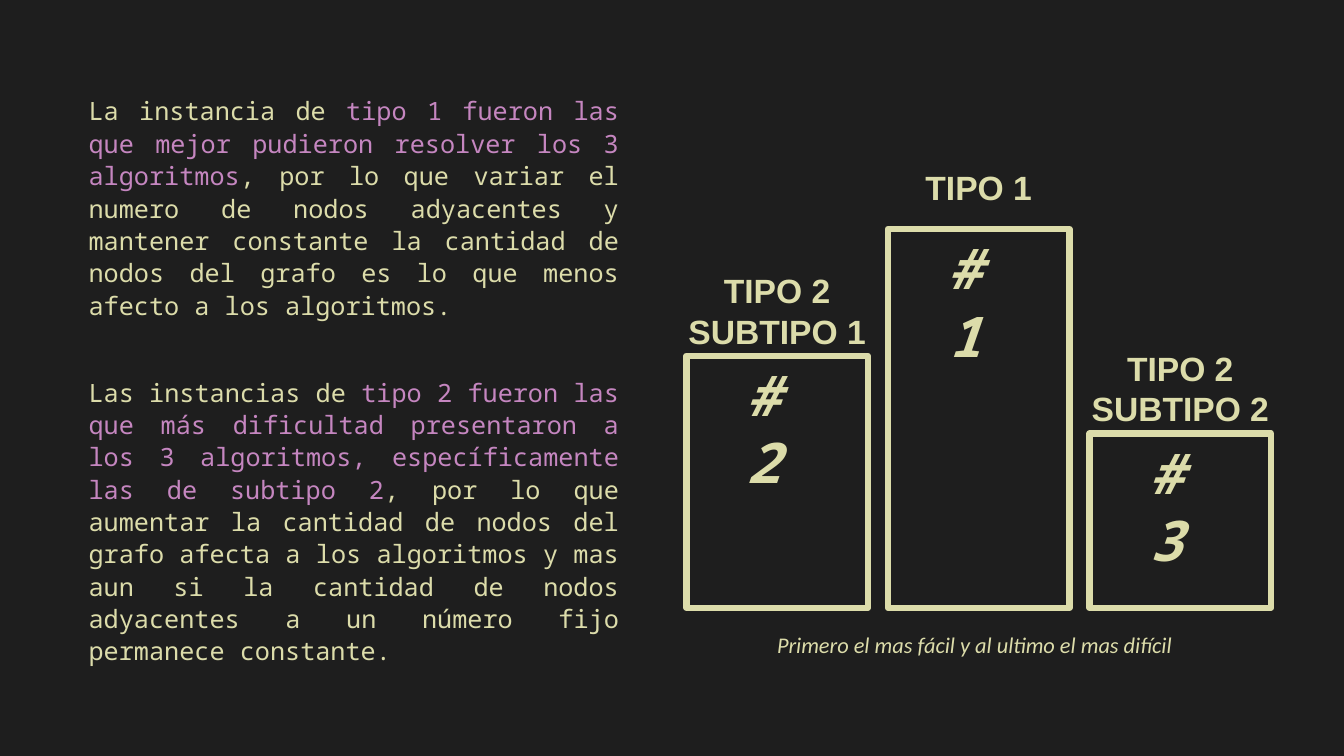
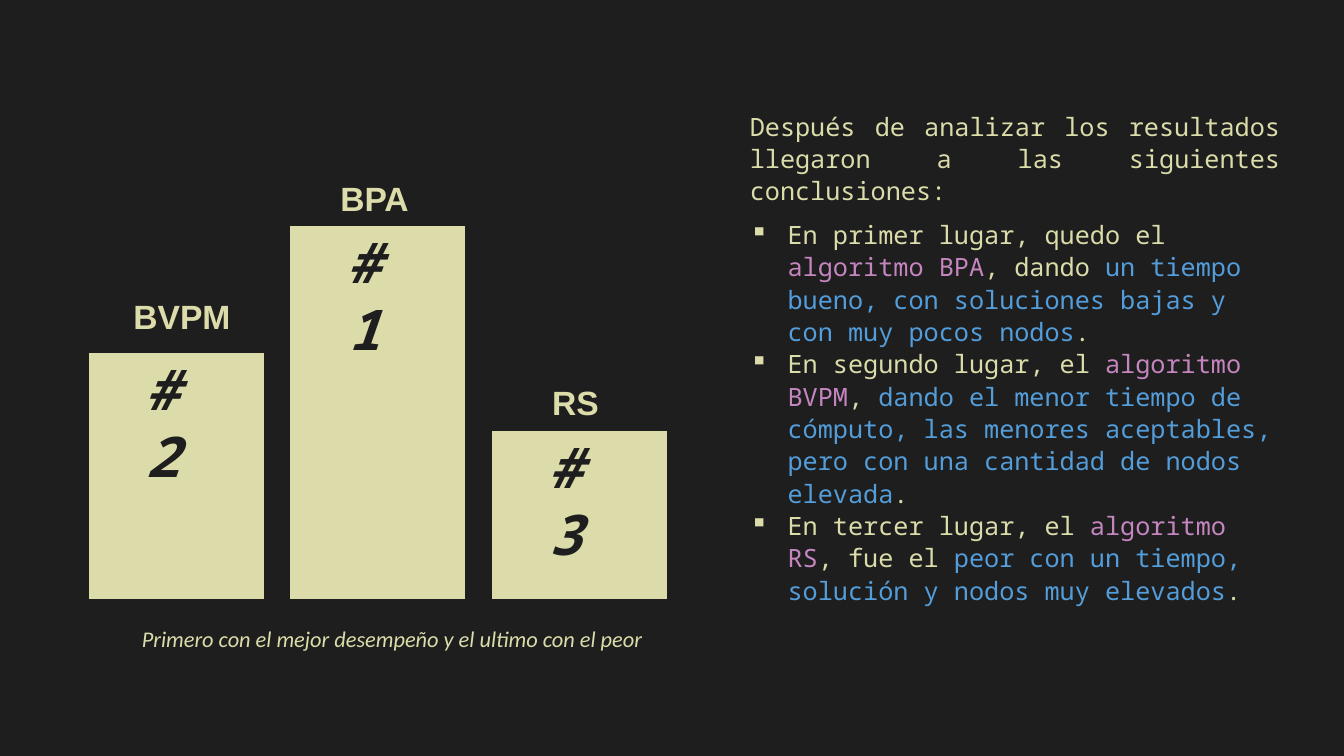
from lxml import etree
from pptx import Presentation
from pptx.dml.color import RGBColor
from pptx.enum.shapes import MSO_SHAPE
from pptx.enum.text import MSO_ANCHOR, PP_ALIGN
from pptx.oxml.ns import qn
from pptx.util import Pt

DARK, CREAM, PINK, BLUE = "1E1E1E", "DCDCAA", "C586C0", "539DDA"
MONO, SANS, CAPTION = "Noto Sans Mono", "Arial", "Calibri"
BAR_W, PITCH, RANK_W, LINE_W = 129.6, 144, 59, 4.5
BAR_HEIGHTS = {"#2": 180, "#1": 270.7, "#3": 124.6}
BODY = dict(size=18, font=MONO, spacing=1.07, after=8)

SLIDES = [
    dict(
        text_box=(56.2, 63.4, 393, 396),
        paragraphs=[
            dict(align=PP_ALIGN.JUSTIFY, after=39, runs=[
                ("La instancia de ", CREAM),
                ("tipo 1 fueron las que mejor pudieron resolver los 3 algoritmos", PINK),
                (", por lo que variar el numero de nodos adyacentes y mantener constante "
                 "la cantidad de nodos del grafo es lo que menos afecto a los algoritmos.", CREAM)]),
            dict(align=PP_ALIGN.JUSTIFY, runs=[
                ("Las instancias de ", CREAM),
                ("tipo 2 fueron las que más dificultad presentaron a los 3 algoritmos, "
                 "específicamente las de subtipo 2", PINK),
                (", por lo que aumentar la cantidad de nodos del grafo afecta a los algoritmos "
                 "y mas aun si la cantidad de nodos adyacentes a un número fijo permanece "
                 "constante.", CREAM)]),
        ],
        left=490.3, base=434.2, fill=None, line=CREAM, rank_color=CREAM,
        bars=[("#2", ["TIPO 2", "SUBTIPO 1"], 0, 0),
              ("#1", ["TIPO 1"], 0, 12),
              ("#3", ["TIPO 2", "SUBTIPO 2"], 0, 0)],
        caption="Primero el mas fácil y al ultimo el mas difícil", caption_left=548,
    ),
    dict(
        text_box=(528.5, 74.2, 393, 364),
        paragraphs=[
            dict(align=PP_ALIGN.JUSTIFY, runs=[
                ("Después de analizar los resultados llegaron a las siguientes conclusiones:",
                 CREAM)]),
            dict(bullet="▪", after=0, runs=[
                ("En primer lugar, quedo el ", CREAM), ("algoritmo BPA", PINK),
                (", dando ", CREAM),
                ("un tiempo bueno, con soluciones bajas y con muy pocos nodos", BLUE),
                (".", CREAM)]),
            dict(bullet="▪", after=0, runs=[
                ("En segundo lugar, el ", CREAM), ("algoritmo BVPM", PINK), (", ", CREAM),
                ("dando el menor tiempo de cómputo, las menores aceptables, pero con una "
                 "cantidad de nodos elevada", BLUE),
                (".", CREAM)]),
            dict(bullet="▪", runs=[
                ("En tercer lugar, el ", CREAM), ("algoritmo RS", PINK), (", fue el ", CREAM),
                ("peor con un tiempo, solución y nodos muy elevados", BLUE),
                (".", CREAM)]),
        ],
        left=61.2, base=429.9, fill=CREAM, line=DARK, rank_color=DARK,
        bars=[("#2", ["BVPM"], 4, 6), ("#1", ["BPA"], -2.5, 0), ("#3", ["RS"], -3, 0)],
        caption="Primero con el mejor desempeño y el ultimo con el peor", caption_left=94.3,
    ),
]


def rgb(value):
    return RGBColor.from_string(value)


def add_paragraph(tf, first, runs, size, font, bold=False, italic=False,
                  align=PP_ALIGN.LEFT, spacing=1, after=0, bullet=None):
    p = tf.paragraphs[0] if first else tf.add_paragraph()
    p.alignment, p.line_spacing, p.space_after = align, spacing, Pt(after)
    if bullet:
        pPr = p._p.get_or_add_pPr()
        pPr.set("marL", str(Pt(27)))
        pPr.set("indent", str(Pt(-27)))
        etree.SubElement(pPr, qn("a:buChar")).set("char", bullet)
    for text, color in runs:
        r = p.add_run()
        r.text = text
        r.font.size, r.font.name = Pt(size), font
        r.font.bold, r.font.italic = bold, italic
        r.font.color.rgb = rgb(color)


def add_text(slide, box, paragraphs, anchor=MSO_ANCHOR.TOP, **style):
    tf = slide.shapes.add_textbox(*map(Pt, box)).text_frame
    tf.word_wrap, tf.vertical_anchor = True, anchor
    for i, paragraph in enumerate(paragraphs):
        add_paragraph(tf, i == 0, **{**style, **paragraph})


def add_bar(slide, box, fill, line):
    sp = slide.shapes.add_shape(MSO_SHAPE.RECTANGLE, *map(Pt, box))
    sp.shadow.inherit = False
    if fill:
        sp.fill.solid()
        sp.fill.fore_color.rgb = rgb(fill)
    else:
        sp.fill.background()
    sp.line.color.rgb, sp.line.width = rgb(line), Pt(LINE_W)


def add_podium(slide, data):
    for i, (rank, label, shift, gap) in enumerate(data["bars"]):
        left, height = data["left"] + i * PITCH, BAR_HEIGHTS[rank]
        top, label_h = data["base"] - height, 7.2 + 29 * len(label)
        add_bar(slide, (left, top, BAR_W, height), data["fill"], data["line"])
        add_text(slide, (left + 35.5, top, RANK_W, 55.4),
                 [dict(runs=[(rank, data["rank_color"])])],
                 size=40, font=MONO, bold=True, italic=True)
        add_text(slide, (left + (BAR_W - PITCH) / 2 + shift, top - gap - label_h, PITCH, label_h),
                 [dict(runs=[(text, CREAM)]) for text in label], anchor=MSO_ANCHOR.BOTTOM,
                 size=24, font=SANS, bold=True, align=PP_ALIGN.CENTER)
    add_text(slide, (data["caption_left"], data["base"] + 11.5, 393, 27.4),
             [dict(runs=[(data["caption"], CREAM)])],
             size=16, font=CAPTION, italic=True, align=PP_ALIGN.JUSTIFY, spacing=1.07)


def main():
    """Build two slides that set a podium beside its conclusions."""
    prs = Presentation()
    prs.slide_width, prs.slide_height = Pt(960), Pt(540)
    background = prs.slide_master.background.fill
    background.solid()
    background.fore_color.rgb = rgb(DARK)
    for data in SLIDES:
        slide = prs.slides.add_slide(prs.slide_layouts[6])
        add_text(slide, data["text_box"], data["paragraphs"], **BODY)
        add_podium(slide, data)
    prs.save("out.pptx")


if __name__ == "__main__":
    main()
